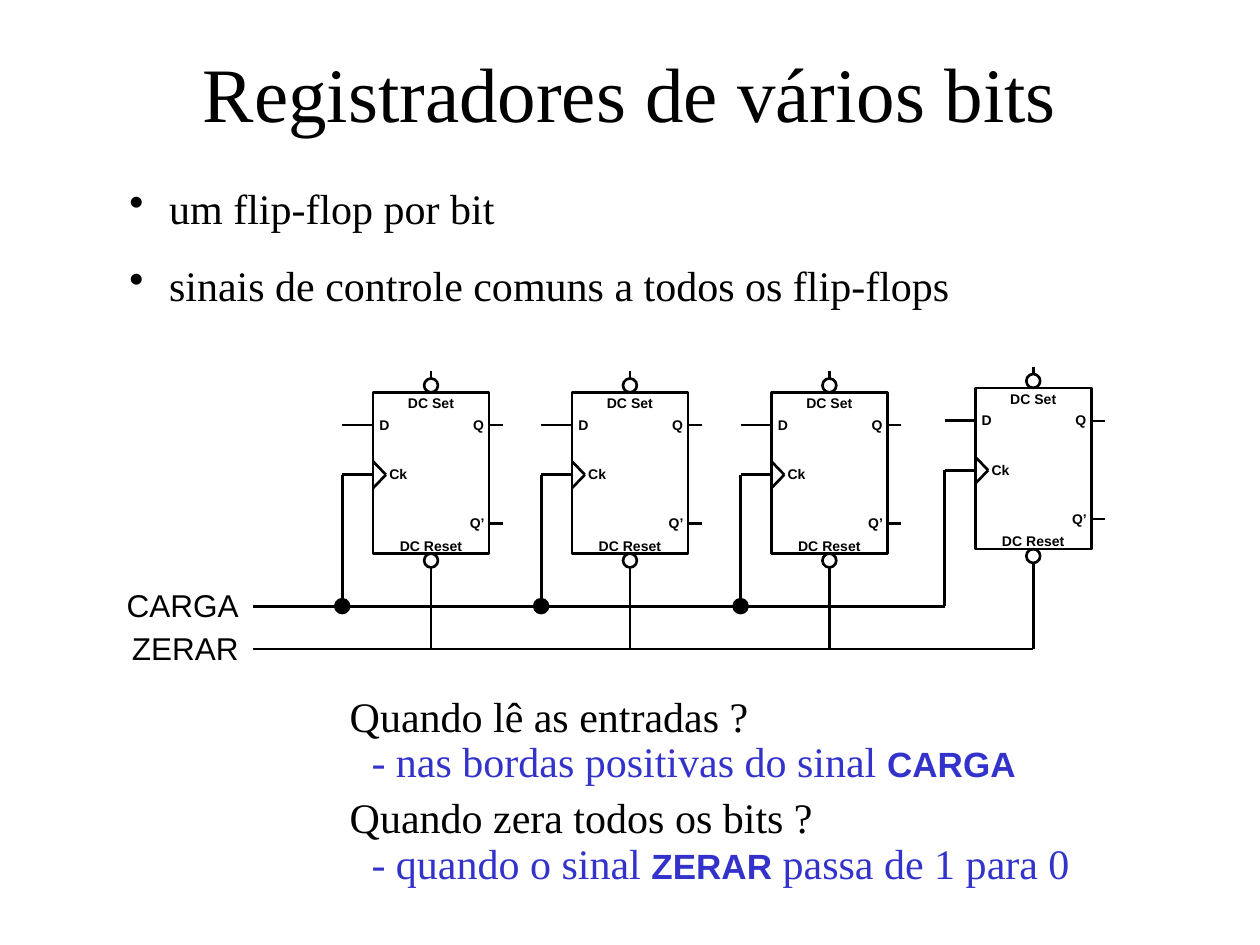
from lxml import etree
from pptx import Presentation
from pptx.dml.color import RGBColor
from pptx.enum.shapes import MSO_CONNECTOR, MSO_SHAPE
from pptx.enum.text import MSO_ANCHOR, PP_ALIGN
from pptx.oxml.ns import qn
from pptx.util import Cm, Pt

STRAIGHT = MSO_CONNECTOR.STRAIGHT
RECTANGLE, OVAL = MSO_SHAPE.RECTANGLE, MSO_SHAPE.OVAL
LEFT, CENTER, RIGHT = PP_ALIGN.LEFT, PP_ALIGN.CENTER, PP_ALIGN.RIGHT
MIDDLE = MSO_ANCHOR.MIDDLE

BLACK = RGBColor(0x00, 0x00, 0x00)
WHITE = RGBColor(0xFF, 0xFF, 0xFF)
BLUE = RGBColor(0x33, 0x33, 0xCC)
SERIF, SANS = "Times New Roman", "Arial"

FLIP_FLOPS = [(7.52, 7.91), (11.53, 7.91), (15.55, 7.91), (19.66, 7.82)]
BODY_WIDTH, BODY_HEIGHT = 2.34, 3.25
DIAMETER = 0.28
LEAD = 0.62
STEM_X, STEM_END = 1.17, 3.71
DATA_Y, CLOCK_Y, INVERTED_Y = 0.66, 1.66, 2.64
SIGNALS_LEFT, LOAD_Y, CLEAR_Y = 5.11, 12.22, 13.08


def set_font(font, name, size, color=BLACK, bold=False):
    font.name, font.size, font.bold = name, Pt(size), bold
    font.color.rgb = color


def add_line(shapes, x1, y1, x2, y2, width=1.5):
    line = shapes.add_connector(STRAIGHT, Cm(x1), Cm(y1), Cm(x2), Cm(y2))
    line.line.color.rgb = BLACK
    line.line.width = Pt(width)
    etree.SubElement(line._element.spPr, qn("a:effectLst"))


def add_outline(shapes, kind, left, top, width, height, fill=None):
    shape = shapes.add_shape(kind, Cm(left), Cm(top), Cm(width), Cm(height))
    shape.shadow.inherit = False
    if fill is None:
        shape.fill.background()
    else:
        shape.fill.solid()
        shape.fill.fore_color.rgb = fill
    shape.line.color.rgb = BLACK
    shape.line.width = Pt(1.5)


def add_circle(shapes, x, y, fill):
    add_outline(shapes, OVAL, x - DIAMETER / 2, y - DIAMETER / 2, DIAMETER, DIAMETER, fill)


def add_box(shapes, left, top, width, height):
    box = shapes.add_textbox(Cm(left), Cm(top), Cm(width), Cm(height))
    box.text_frame.word_wrap = True
    return box.text_frame


def add_paragraphs(frame, count, line_spacing=None):
    for index in range(count):
        para = frame.add_paragraph() if index else frame.paragraphs[0]
        para.space_before = Pt(15 if index else 0)
        if line_spacing:
            para.line_spacing = line_spacing
    return frame.paragraphs


def add_label(shapes, text, left, top, width, height, align, size, bold=False, inset=None):
    frame = add_box(shapes, left, top, width, height)
    if inset is not None:
        frame.margin_left = frame.margin_right = Cm(inset)
        frame.margin_top = frame.margin_bottom = Cm(inset)
    para = frame.paragraphs[0]
    para.text = text
    para.alignment = align
    set_font(para.font, SANS, size, bold=bold)


def place_title(page, left, top, width, height):
    title = page.shapes.title
    title.left, title.top, title.width, title.height = map(Cm, (left, top, width, height))
    title.text_frame.vertical_anchor = MIDDLE
    para = title.text_frame.paragraphs[0]
    para.text = "Registradores de vários bits"
    para.alignment = CENTER
    set_font(para.font, SERIF, 44)


def add_bullets(page, left, top, width, height):
    texts = ["um flip-flop por bit", "sinais de controle comuns a todos os flip-flops"]
    frame = add_box(page.shapes, left, top, width, height)
    for para, text in zip(add_paragraphs(frame, len(texts)), texts):
        para.text = text
        properties = para._p.get_or_add_pPr()
        properties.set("marL", str(Cm(0.8)))
        properties.set("indent", str(Cm(-0.8)))
        etree.SubElement(properties, qn("a:buChar")).set("char", "•")
        set_font(para.font, SERIF, 24)


def add_flip_flop(page, left, top):
    shapes = page.shapes.add_group_shape().shapes
    add_outline(shapes, RECTANGLE, left, top, BODY_WIDTH, BODY_HEIGHT)
    for y in (-DIAMETER / 2, BODY_HEIGHT + DIAMETER / 2):
        add_circle(shapes, left + STEM_X, top + y, WHITE)

    lines = [
        (BODY_WIDTH, DATA_Y, 2.62, DATA_Y, 1),
        (BODY_WIDTH, INVERTED_Y, 2.62, INVERTED_Y, 1.5),
        (-LEAD, DATA_Y, 0, DATA_Y, 1.5),
        (-LEAD, CLOCK_Y, 0, CLOCK_Y, 1.5),
        (0, CLOCK_Y - 0.27, 0.26, CLOCK_Y, 1.5),
        (0.26, CLOCK_Y, 0, CLOCK_Y + 0.27, 1.5),
        (STEM_X, -0.43, STEM_X, -DIAMETER, 1.5),
        (STEM_X, BODY_HEIGHT + DIAMETER, STEM_X, STEM_END, 1.5),
    ]
    for x1, y1, x2, y2, width in lines:
        add_line(shapes, left + x1, top + y1, left + x2, top + y2, width)

    labels = [
        ("DC Set", 0.46, 0.05, 1.42, CENTER),
        ("DC Reset", 0.46, 2.92, 1.42, CENTER),
        ("D", 0.13, 0.48, 0.48, LEFT),
        ("Q", 1.76, 0.48, 0.48, RIGHT),
        ("Ck", 0.28, 1.48, 0.46, CENTER),
        ("Q’", 1.77, 2.47, 0.48, RIGHT),
    ]
    for text, x, y, width, align in labels:
        add_label(shapes, text, left + x, top + y, width, 0.33, align, 8, True, 0)


def add_control_signals(page):
    shapes = page.shapes.add_group_shape().shapes
    last_left = FLIP_FLOPS[-1][0]
    signals = [("CARGA", LOAD_Y, last_left - LEAD), ("ZERAR", CLEAR_Y, last_left + STEM_X)]
    for name, y, end in signals:
        add_line(shapes, SIGNALS_LEFT, y, end, y)
        add_label(shapes, name, 1.78, y - 0.53, 3.28, 1.02, RIGHT, 18)
    for left, top in FLIP_FLOPS:
        clock_x, reset_x = left - LEAD, left + STEM_X
        add_line(shapes, clock_x, LOAD_Y, clock_x, top + CLOCK_Y)
        add_line(shapes, reset_x, top + STEM_END, reset_x, CLEAR_Y)
        if left != last_left:
            add_circle(shapes, clock_x, LOAD_Y, BLACK)


def add_questions(page, left, top, width, height):
    texts = ["Quando lê as entradas ?", "Quando zera todos os bits ?"]
    frame = add_box(page.shapes, left, top, width, height)
    for para, text in zip(add_paragraphs(frame, len(texts), 1.5), texts):
        para.text = text
        set_font(para.font, SERIF, 24)


def add_answers(page, left, top, width, height):
    answers = [
        ("- nas bordas positivas do sinal ", "CARGA", ""),
        ("- quando o sinal ", "ZERAR", " passa de 1 para 0"),
    ]
    frame = add_box(page.shapes, left, top, width, height)
    for para, (before, signal, after) in zip(add_paragraphs(frame, len(answers), 1.5), answers):
        for text in filter(None, (before, signal, after)):
            span = para.add_run()
            span.text = text
            if text == signal:
                set_font(span.font, SANS, 20, BLUE, True)
            else:
                set_font(span.font, SERIF, 24, BLUE)


def main():
    deck = Presentation()
    deck.slide_width, deck.slide_height = Cm(25.4), Cm(19.05)
    page = deck.slides.add_slide(deck.slide_layouts[5])
    place_title(page, 1.9, 0.25, 21.6, 3.18)
    add_bullets(page, 2.36, 3.56, 20.98, 2.82)
    for left, top in FLIP_FLOPS:
        add_flip_flop(page, left, top)
    add_control_signals(page)
    add_questions(page, 6.8, 13.28, 10.67, 3.84)
    add_answers(page, 7.24, 14.2, 14.76, 3.84)
    deck.save("out.pptx")


if __name__ == "__main__":
    main()
